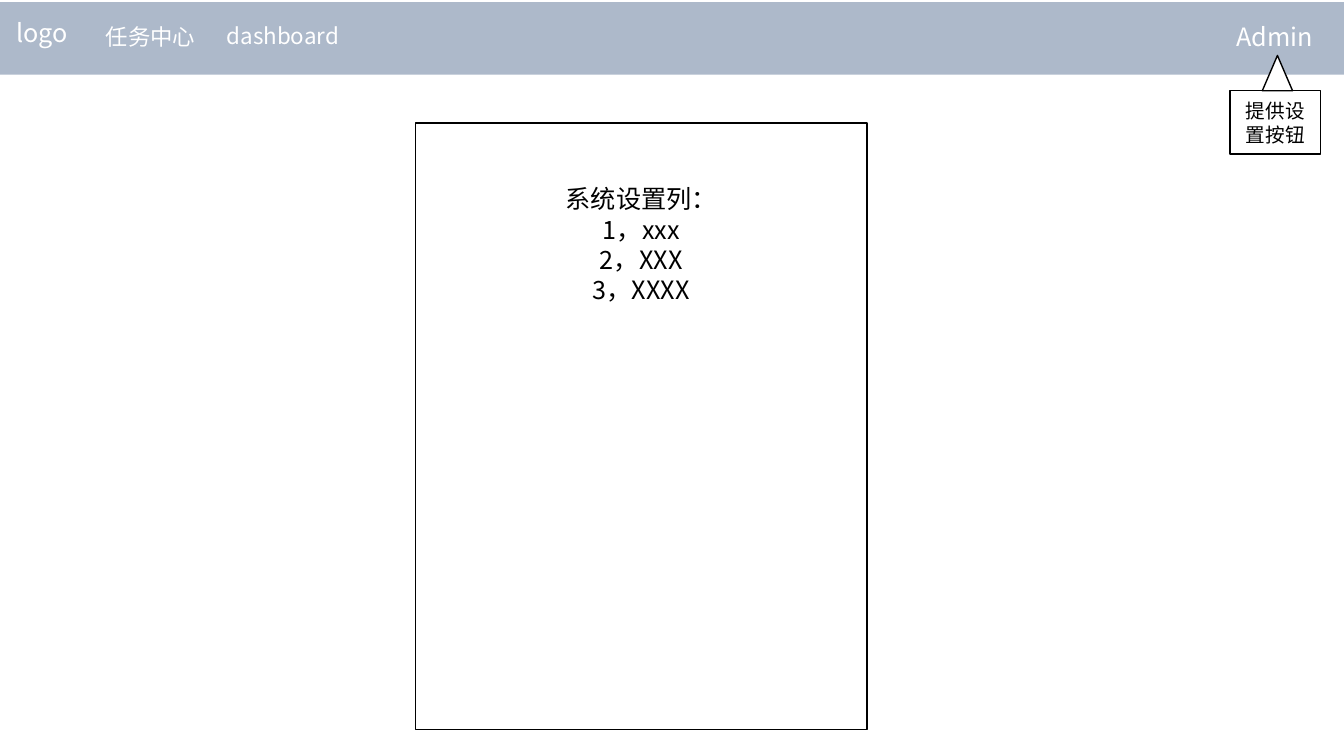
import pptx
import pptx.dml.color
import pptx.enum.shapes
import pptx.enum.text
import pptx.oxml.ns
import pptx.util
import lxml.etree

WIDTH, HEIGHT = 13.33, 7.5
FONT = "Noto Sans CJK SC"
WHITE, BLACK, BAR = "FFFFFF", "000000", "ADB9CA"
SHAPES = pptx.enum.shapes.MSO_SHAPE
ANCHORS = pptx.enum.text.MSO_ANCHOR


def color(value):
    return pptx.dml.color.RGBColor.from_string(value)


def add_box(page, box, kind=SHAPES.RECTANGLE, fill=None, line=None):
    shape = page.shapes.add_shape(kind, *[pptx.util.Inches(length) for length in box])
    shape.shadow.inherit = False
    if fill:
        shape.fill.solid()
        shape.fill.fore_color.rgb = color(fill)
    else:
        shape.fill.background()
    if line:
        shape.line.color.rgb = color(line)
        shape.line.width = pptx.util.Pt(1)
    else:
        shape.line.fill.background()
    return shape


def write(shape, text, size=18, ink=BLACK, anchor=ANCHORS.MIDDLE, top=0.05):
    frame = shape.text_frame
    frame.word_wrap = True
    frame.vertical_anchor = anchor
    frame.margin_top = pptx.util.Inches(top)
    for index, words in enumerate(text.split("\n")):
        para = frame.add_paragraph() if index else frame.paragraphs[0]
        para.alignment = pptx.enum.text.PP_ALIGN.CENTER
        para.line_spacing = pptx.util.Pt(size * 1.2)
        span = para.add_run()
        span.text = words
        span.font.name = FONT
        span.font.size = pptx.util.Pt(size)
        span.font.color.rgb = color(ink)
        east = lxml.etree.SubElement(span.font._element, pptx.oxml.ns.qn("a:ea"))
        east.set("typeface", FONT)


def add_label(page, box, text, size):
    label = page.shapes.add_textbox(*[pptx.util.Inches(length) for length in box])
    write(label, text, size=size, ink=WHITE)


def add_navigation(page, box):
    left, top, width, height = box
    add_box(page, box, fill=BAR)
    add_label(page, (left + 0.02, top + 0.15, 0.8, 0.31), "logo", 18)
    add_label(page, (left + width - 1.24, top + 0.15, 1.1, 0.38), "Admin", 18)
    add_label(page, (left + 0.88, top - 0.02, 1.23, height), "任务中心", 16)
    add_label(page, (left + 2.11, top - 0.03, 1.39, height), "dashboard", 16)


def add_settings_panel(page, box):
    panel = add_box(page, box, fill=WHITE, line=BLACK)
    write(panel, "系统设置列：\n1，xxx\n2，XXX\n3，XXXX",
          anchor=ANCHORS.TOP, top=box[3] * 0.1)


def add_callout(page, box):
    left, top, width, height = box
    note = add_box(page, box, fill=WHITE, line=BLACK)
    write(note, "提供设置按钮", size=14)
    pointer_width, pointer_height = width / 3, 0.35
    pointer_left = left + (width - pointer_width) / 2 + 0.02
    add_box(page, (pointer_left, top - pointer_height, pointer_width, pointer_height),
            kind=SHAPES.ISOSCELES_TRIANGLE, fill=WHITE, line=BLACK)


def main():
    deck = pptx.Presentation()
    deck.slide_width = pptx.util.Inches(WIDTH)
    deck.slide_height = pptx.util.Inches(HEIGHT)
    page = deck.slides.add_slide(deck.slide_layouts[6])
    add_navigation(page, (0, 0.02, WIDTH, 0.72))
    add_settings_panel(page, (4.12, 1.22, 4.48, 6.02))
    add_callout(page, (12.2, 0.9, 0.9, 0.63))
    deck.save("out.pptx")


if __name__ == "__main__":
    main()
